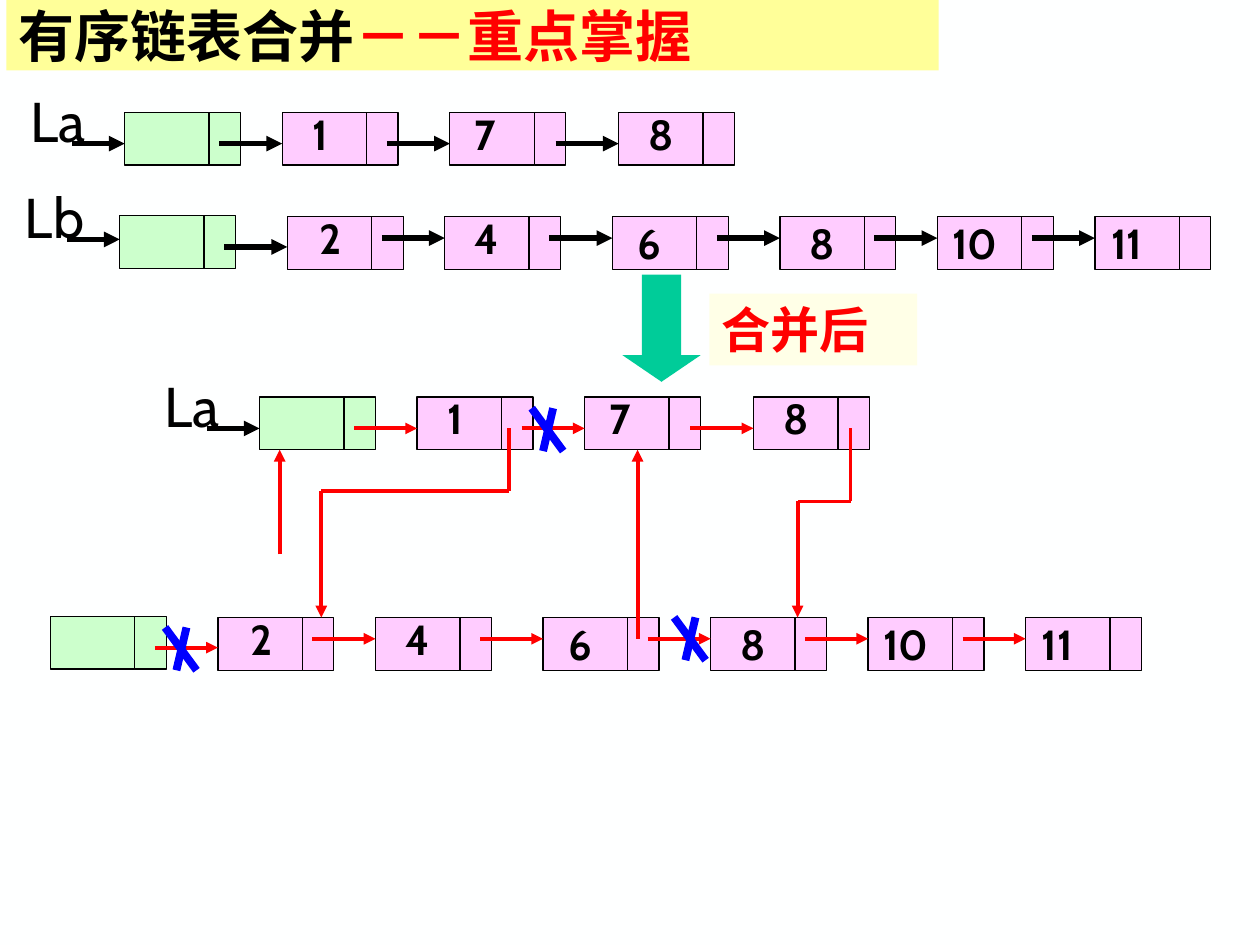
from lxml import etree
from pptx import Presentation
from pptx.dml.color import RGBColor
from pptx.enum.shapes import MSO_CONNECTOR, MSO_SHAPE
from pptx.enum.text import MSO_ANCHOR, PP_ALIGN
from pptx.oxml.ns import qn
from pptx.util import Inches, Pt

STRAIGHT = MSO_CONNECTOR.STRAIGHT
RECTANGLE, DOWN_ARROW = MSO_SHAPE.RECTANGLE, MSO_SHAPE.DOWN_ARROW
TOP, MIDDLE = MSO_ANCHOR.TOP, MSO_ANCHOR.MIDDLE
LEFT = PP_ALIGN.LEFT

COLORS = {
    "background": "FEFFFF", "black": "000000", "red": "FF0000", "blue": "0000FF",
    "head": "CCFFCC", "node": "FFCCFF", "down": "00CC99",
    "title": "FFFF99", "caption": "FFFFE7",
}
CHINESE_FONT = "Noto Sans CJK SC"
DATA_WIDTH, LINK_WIDTH, CELL_HEIGHT = 0.67, 0.25, 0.42


def add_line(start, end, color, width, arrow=False):
    line = slide.shapes.add_connector(STRAIGHT, *(Inches(v) for v in (*start, *end)))
    line.line.color.rgb = RGBColor.from_string(COLORS[color])
    line.line.width = Pt(width)
    if arrow:
        etree.SubElement(line.line._get_or_add_ln(), qn("a:tailEnd"), type="triangle")
    etree.SubElement(line._element.spPr, qn("a:effectLst"))


def add_block(box, runs=(), fill=None, outline=False, kind=RECTANGLE, anchor=TOP):
    """Add a filled shape, or a text box without fill; runs are (text, size, font, color, bold)."""
    box = [Inches(v) for v in box]
    if fill:
        shape = slide.shapes.add_shape(kind, *box)
        shape.shadow.inherit = False
        shape.fill.solid()
        shape.fill.fore_color.rgb = RGBColor.from_string(COLORS[fill])
        if outline:
            shape.line.color.rgb = RGBColor.from_string(COLORS["black"])
            shape.line.width = Pt(0.75)
        else:
            shape.line.fill.background()
    else:
        shape = slide.shapes.add_textbox(*box)
    frame = shape.text_frame
    frame.word_wrap = bool(fill)
    frame.vertical_anchor = anchor
    paragraph = frame.paragraphs[0]
    paragraph.alignment = LEFT
    for text, size, font, color, bold in runs:
        run = paragraph.add_run()
        run.text = text
        run.font.size, run.font.name, run.font.bold = Pt(size), font, bold
        run.font.color.rgb = RGBColor.from_string(COLORS[color])
        etree.SubElement(run._r.get_or_add_rPr(), qn("a:ea"), typeface=CHINESE_FONT)
    return shape


presentation = Presentation()
presentation.slide_width, presentation.slide_height = Inches(10), Inches(7.5)
slide = presentation.slides.add_slide(presentation.slide_layouts[6])
slide.background.fill.solid()
slide.background.fill.fore_color.rgb = RGBColor.from_string(COLORS["background"])

# Nodes: value, x, and offset of the value from the node's corner
LIST_A = {
    "head": (0.99, 0.89), "node_y": 0.89, "link_y": 1.14,
    "nodes": [("1", 2.24, 0.14, -0.08), ("7", 3.57, 0.1, -0.08), ("8", 4.91, 0.14, -0.08)],
}
LIST_B = {
    "head": (0.95, 1.71), "node_y": 1.72, "link_y": 1.89,
    "nodes": [("2", 2.28, 0.16, -0.08), ("4", 3.53, 0.14, -0.08), ("6", 4.86, 0.1, -0.04),
              ("8", 6.19, 0.14, -0.04), ("10", 7.44, 0.02, -0.04), ("11", 8.69, 0.03, -0.04)],
}

# List, shift, link color and width, name with its box and entry arrow height
rows = [
    (LIST_A, 0, 0, "black", 3, ("La", 0.14, 0.64, 0.68, 1.14)),
    (LIST_B, 0, 0, "black", 3, ("Lb", 0.1, 1.4, 0.7, 1.9)),
    (LIST_A, 1.07, 2.26, "red", 2.25, ("La", 1.21, 2.9, 0.68, 3.4)),
    (LIST_B, -0.55, 3.18, "red", 2.25, None),
]
for linked_list, shift_x, shift_y, color, width, name in rows:
    head_x, head_y = linked_list["head"]
    head_x, head_y = head_x + shift_x, head_y + shift_y
    node_y = linked_list["node_y"] + shift_y
    cells = [(head_x, head_y, "head")]
    cells += [(x + shift_x, node_y, "node") for _, x, _, _ in linked_list["nodes"]]
    for x, y, fill in cells:
        add_block((x, y, DATA_WIDTH, CELL_HEIGHT), fill=fill, outline=True)
        add_block((x + DATA_WIDTH, y, LINK_WIDTH, CELL_HEIGHT), fill=fill, outline=True)

    for index, (value, x, dx, dy) in enumerate(linked_list["nodes"]):
        x += shift_x
        link_y = linked_list["link_y"] + shift_y if index else head_y + 0.25
        add_line((x - 0.5, link_y), (x, link_y), color, width, arrow=True)
        value_width = 0.39 if len(value) == 1 else 0.58
        add_block((x + dx, node_y + dy, value_width, 0.5),
                  [(value, 24, "Cabin", "black", True)])

    if name:
        text, x, y, name_width, entry_y = name
        add_line((head_x - 0.42, entry_y), (head_x, entry_y), "black", 3, arrow=True)
        add_block((x, y, name_width, 0.64), [(text, 32, "Cabin", "black", False)])

# New links between the two merged rows
routes = [
    [(2.22, 4.4), (2.22, 3.57)],
    [(4.04, 3.4), (4.04, 3.9), (2.55, 3.9), (2.55, 4.9)],
    [(5.06, 5.07), (5.06, 3.57)],
    [(6.75, 3.4), (6.75, 3.98), (6.33, 3.98), (6.33, 4.9)],
]
for route in routes:
    for start, end in zip(route, route[1:]):
        add_line(start, end, "red", 2.25, arrow=end == route[-1])

# Crosses over the removed links
for x, y in [(4.22, 3.24), (5.35, 4.9), (1.31, 4.98)]:
    add_line((x + 0.17, y), (x + 0.09, y + 0.34), "blue", 4.5)
    add_line((x, y), (x + 0.25, y + 0.34), "blue", 4.5)

down_arrow = add_block((4.94, 2.18, 0.62, 0.85), fill="down", kind=DOWN_ARROW)
down_arrow.adjustments[0], down_arrow.adjustments[1] = 0.5, 0.34
add_block((5.63, 2.33, 1.65, 0.57),
          [("合并后", 28, "Times New Roman", "red", True)], fill="caption")
add_block((0.05, 0, 7.4, 0.56),
          [("有序链表合并", 32, CHINESE_FONT, "black", True),
           ("－－重点掌握", 32, "Times New Roman", "red", True)],
          fill="title", anchor=MIDDLE)

presentation.save("out.pptx")
